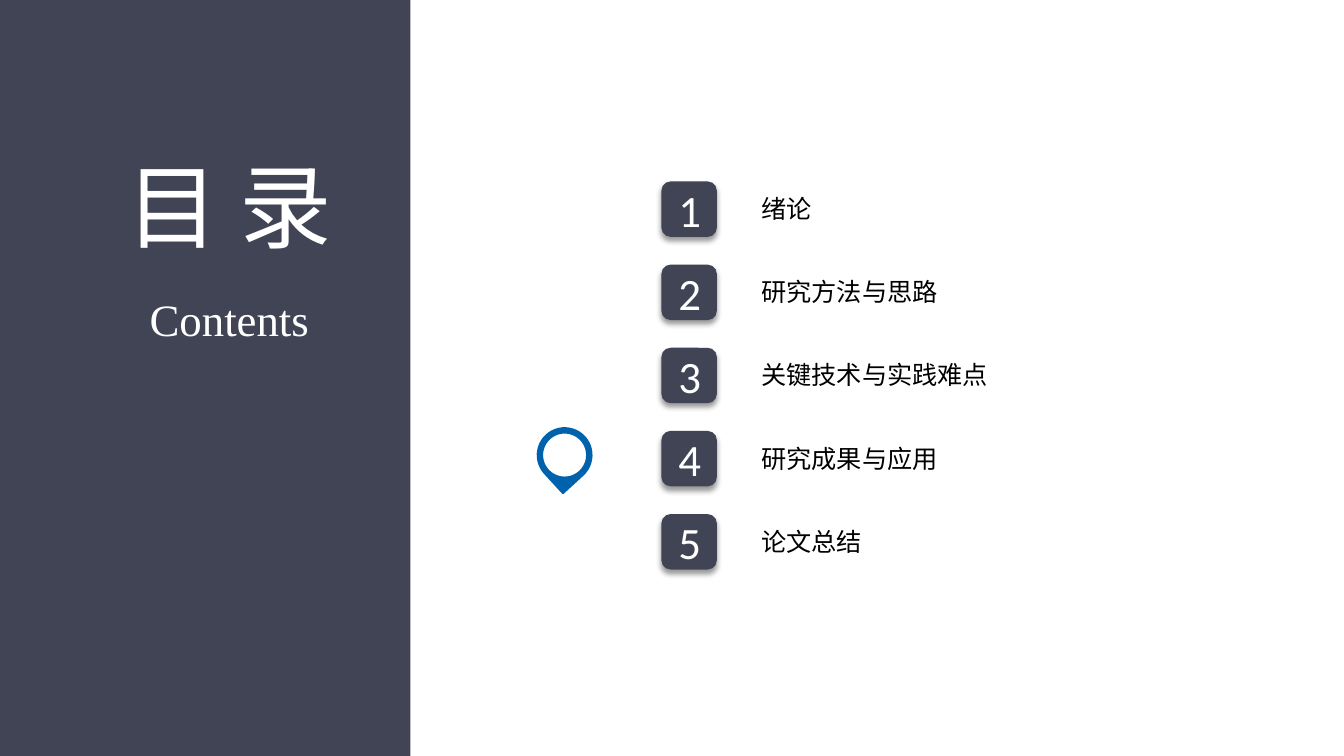
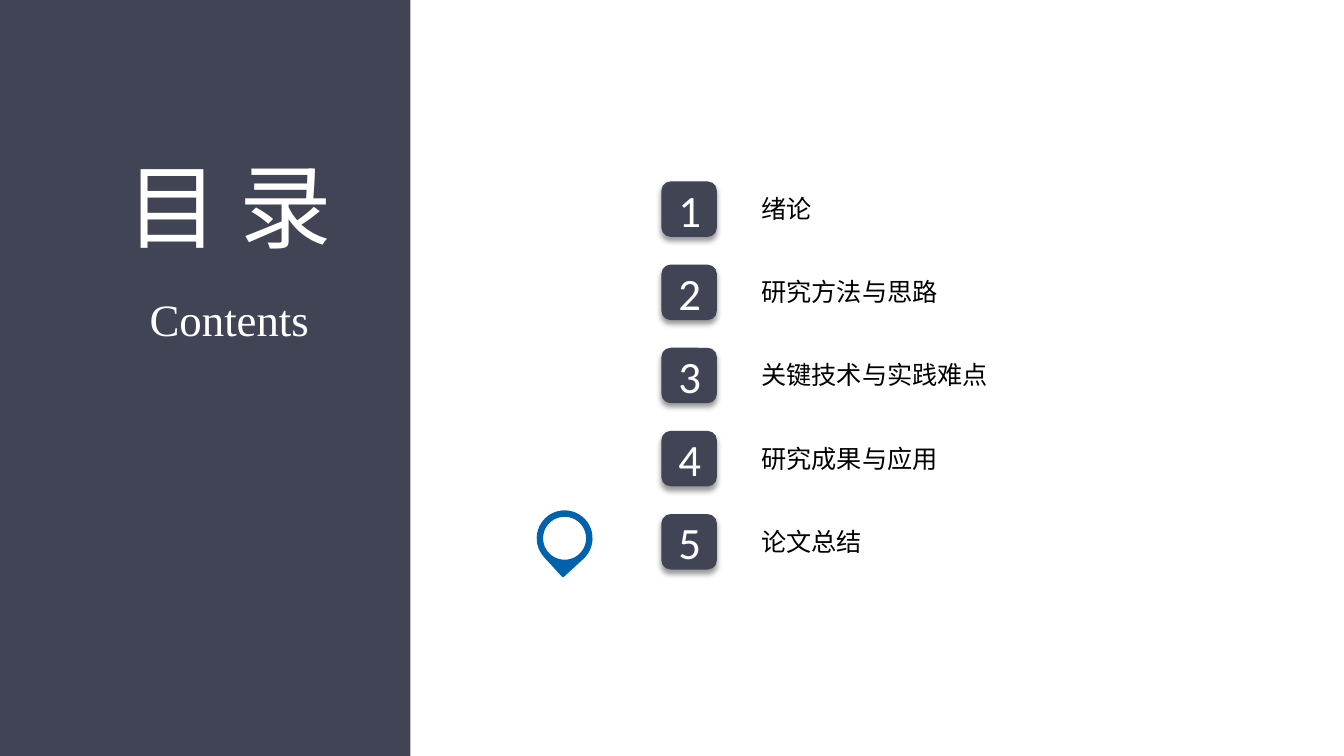
"""Build the two contents slides, each with a pin beside the current chapter."""
from dataclasses import dataclass
from typing import Optional, Union

from lxml import etree
from pptx import Presentation
from pptx import util as u
from pptx.dml.color import RGBColor
from pptx.enum import shapes, text
from pptx.oxml import ns
from pptx.shapes import autoshape, shapetree
from pptx.slide import Slide

SLATE = RGBColor(0x41, 0x44, 0x55)
BLUE = RGBColor(0x00, 0x62, 0xAC)
WHITE = RGBColor(0xFF, 0xFF, 0xFF)
BLACK = RGBColor(0x00, 0x00, 0x00)
HAN, LATIN, DIGIT = "Noto Sans CJK SC", "Times New Roman", "Calibri"

SLIDE_W, SLIDE_H = 13.33, 7.5
PANEL_W = 4.07
ROW_TOP, ROW_PITCH = 1.8, SLIDE_H * 0.11
BADGE_X, BADGE_SIZE = 6.56, 0.55
LABEL_X, LABEL_SIZE = 7.5, 18
PIN_X, PIN_SIZE, HOLE_SIZE = 5.33, 0.54, 0.44
INSET = 0.05

CHAPTERS = ("绪论", "研究方法与思路", "关键技术与实践难点", "研究成果与应用", "论文总结")
CURRENT_CHAPTERS = (4, 5)

Shapes = Union[shapetree.SlideShapes, shapetree.GroupShapes]


@dataclass(frozen=True)
class Box:
    """Position and size in inches."""

    x: float
    y: float
    w: float
    h: float

    def emu(self) -> tuple[u.Inches, ...]:
        """Give the four lengths in the order python-pptx expects."""
        return tuple(u.Inches(v) for v in (self.x, self.y, self.w, self.h))


@dataclass(frozen=True)
class Style:
    """Font, size and colour of a run."""

    font: str
    size: int
    color: RGBColor


TITLE = Style(HAN, 66, WHITE)
SUBTITLE = Style(LATIN, 32, WHITE)
NUMBER = Style(DIGIT, 32, WHITE)
LABEL = Style(HAN, LABEL_SIZE, BLACK)


def add_shape(s: Shapes, kind: shapes.MSO_SHAPE, box: Box, fill: RGBColor,
              line: Optional[RGBColor] = None) -> autoshape.Shape:
    """Add a flat preset shape."""
    sp = s.add_shape(kind, *box.emu())
    sp.shadow.inherit = False
    sp.fill.solid()
    sp.fill.fore_color.rgb = fill
    if line is None:
        sp.line.fill.background()
    else:
        sp.line.color.rgb = line
        sp.line.width = u.Pt(1)
    return sp


def add_text(s: Shapes, box: Box, words: str, style: Style, wrap: bool = False,
             anchor: text.MSO_ANCHOR = text.MSO_ANCHOR.TOP) -> None:
    """Add a centred one-line text box."""
    tf = s.add_textbox(*box.emu()).text_frame
    tf.word_wrap = wrap
    tf.auto_size = text.MSO_AUTO_SIZE.SHAPE_TO_FIT_TEXT
    tf.vertical_anchor = anchor
    tf.margin_left = tf.margin_right = u.Inches(INSET)
    tf.margin_top = tf.margin_bottom = u.Inches(INSET)
    p = tf.paragraphs[0]
    p.alignment = text.PP_ALIGN.CENTER
    r = p.add_run()
    r.text = words
    r.font.name = style.font
    r.font.size = u.Pt(style.size)
    r.font.color.rgb = style.color
    etree.SubElement(r.font._element, ns.qn("a:ea"), typeface=style.font)


def add_shadow(sp: autoshape.Shape) -> None:
    """Drop a soft shadow straight below a shape."""
    effects = sp._element.spPr.find(ns.qn("a:effectLst"))
    shadow = etree.SubElement(effects, ns.qn("a:outerShdw"), blurRad=str(u.Pt(4)),
                              dist=str(u.Pt(3)), dir="5400000", rotWithShape="0")
    color = etree.SubElement(shadow, ns.qn("a:srgbClr"), val=str(BLACK))
    etree.SubElement(color, ns.qn("a:alpha"), val="40000")


def row_top(number: int) -> float:
    """Give the top of a chapter's row, counted from one."""
    return ROW_TOP + (number - 1) * ROW_PITCH


def add_chapter(s: Slide, number: int, name: str) -> None:
    """Add a numbered badge and its chapter name."""
    y = row_top(number)
    badge = s.shapes.add_group_shape().shapes
    sp = add_shape(badge, shapes.MSO_SHAPE.ROUNDED_RECTANGLE,
                   Box(BADGE_X, y, BADGE_SIZE, BADGE_SIZE), SLATE)
    add_shadow(sp)
    add_text(badge, Box(BADGE_X + 0.03, y - 0.04, 0.5, 0.63), str(number), NUMBER,
             wrap=True, anchor=text.MSO_ANCHOR.MIDDLE)
    width = len(name) * LABEL_SIZE / 72 + 2 * INSET
    add_text(s.shapes, Box(LABEL_X, y + 0.07, width, 0.45), name, LABEL)


def add_panel(s: Slide) -> None:
    """Add the dark side panel with its two titles."""
    add_shape(s.shapes, shapes.MSO_SHAPE.RECTANGLE, Box(0, 0, PANEL_W, SLIDE_H), SLATE)
    add_text(s.shapes, Box(1.17, 1.43, 2.2, 1.38), "目 录", TITLE)
    add_text(s.shapes, Box(1.43, 2.84, 1.69, 0.6), "Contents", SUBTITLE)


def add_pin(s: Slide, number: int) -> None:
    """Add the pin that marks the current chapter."""
    y = row_top(number) - 0.03
    pin = s.shapes.add_group_shape().shapes
    drop = add_shape(pin, shapes.MSO_SHAPE.TEAR, Box(PIN_X, y, PIN_SIZE, PIN_SIZE), BLUE, BLUE)
    drop.rotation = 137.5
    gap = (PIN_SIZE - HOLE_SIZE) / 2
    add_shape(pin, shapes.MSO_SHAPE.OVAL,
              Box(PIN_X + gap, y + gap, HOLE_SIZE, HOLE_SIZE), WHITE, BLUE)


def main() -> None:
    """Build and save the presentation."""
    prs = Presentation()
    prs.slide_width, prs.slide_height = u.Inches(SLIDE_W), u.Inches(SLIDE_H)
    for current in CURRENT_CHAPTERS:
        s = prs.slides.add_slide(prs.slide_layouts[6])
        for number, name in enumerate(CHAPTERS, start=1):
            add_chapter(s, number, name)
        add_panel(s)
        add_pin(s, current)
    prs.save("out.pptx")


if __name__ == "__main__":
    main()
